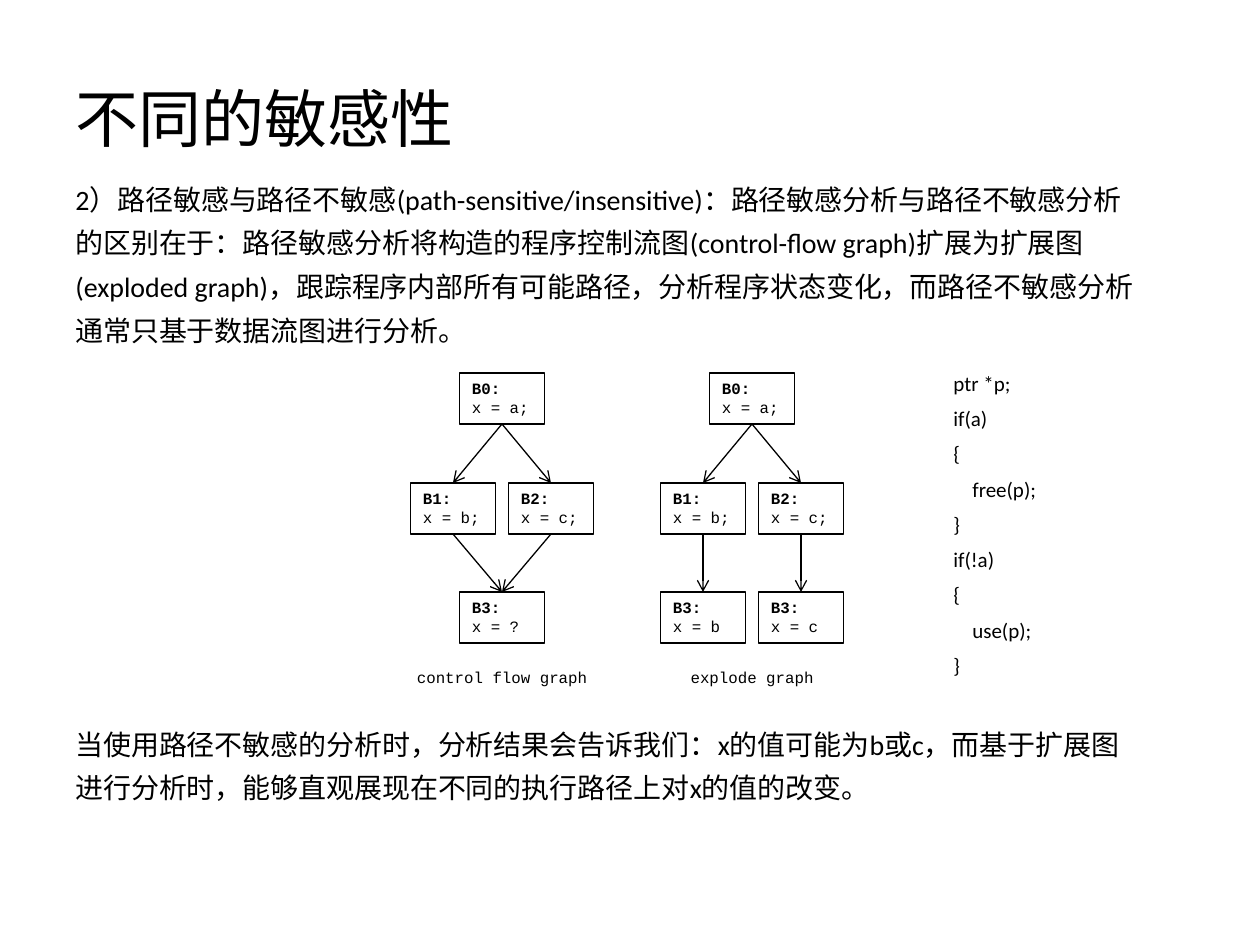
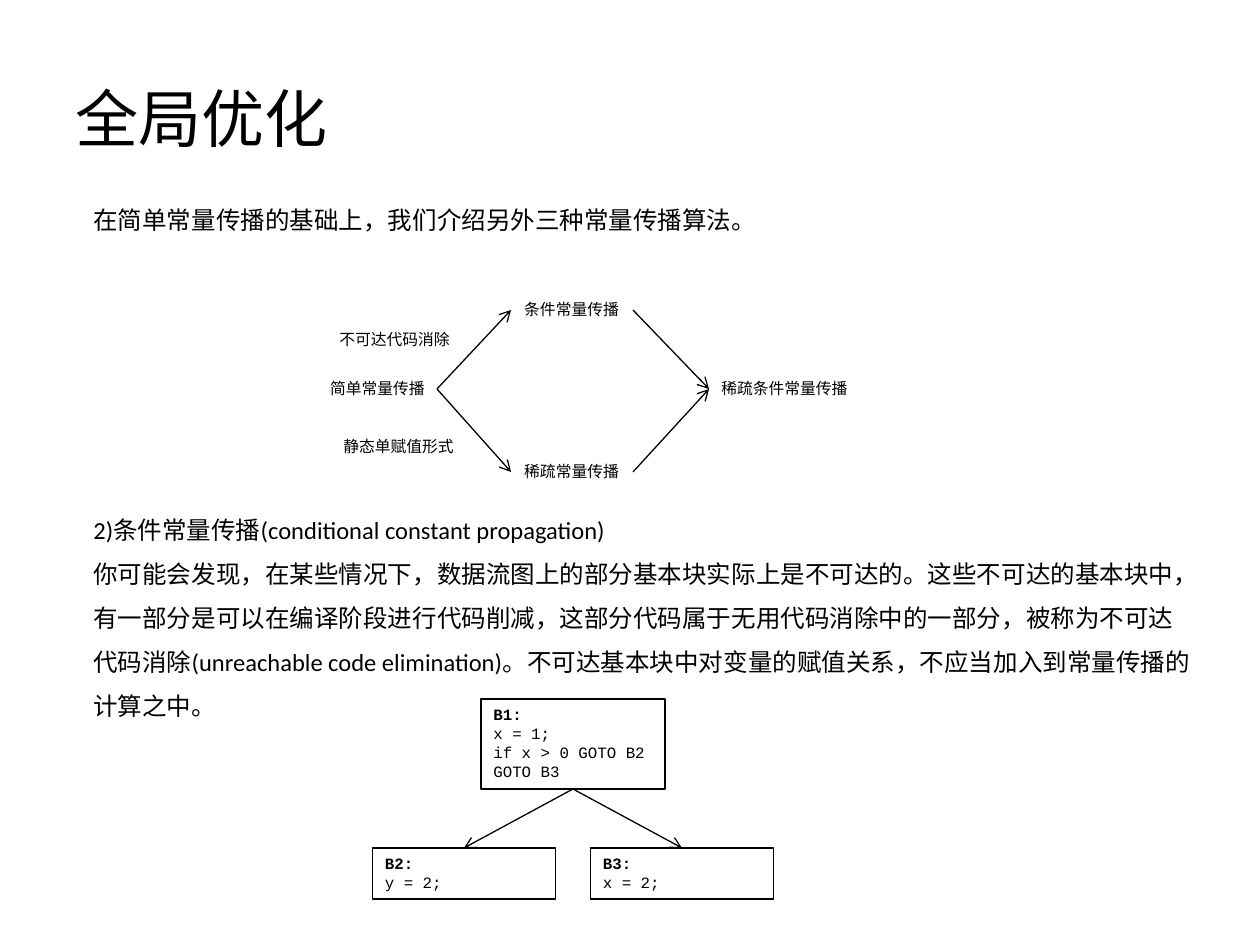
from dataclasses import dataclass

from lxml.etree import SubElement
from pptx import Presentation
from pptx.dml.color import RGBColor
from pptx.enum.shapes import MSO_CONNECTOR, MSO_SHAPE
from pptx.enum.text import MSO_ANCHOR, PP_ALIGN
from pptx.oxml.ns import qn
from pptx.slide import Slide
from pptx.util import Emu, Pt

COLOURS = {"ink": "000000"}
BODY_FONT, CODE_FONT = "Calibri", "Courier New"
EMU_PER_PIXEL = 914400 / 126
TITLE_ONLY = 5
BLOCK_HEIGHT = 51
LABEL_HEIGHT = 32

Point = tuple[int, int]
Area = tuple[int, int, int, int]


@dataclass(frozen=True)
class Block:
    """A basic block, placed by its top centre."""
    name: str
    code: tuple[str, ...]
    centre: int
    top: int
    width: int = 85
    height: int = BLOCK_HEIGHT

    @property
    def entry(self) -> Point:
        """Point where arrows arrive."""
        return self.centre, self.top

    @property
    def leave(self) -> Point:
        """Point where arrows start."""
        return self.centre, self.top + self.height


@dataclass(frozen=True)
class Label:
    """A small one-line caption."""
    text: str
    left: int
    top: int
    width: int
    align: PP_ALIGN = PP_ALIGN.CENTER


@dataclass(frozen=True)
class Line:
    """A paragraph of running text; indent in pixels, space before in points."""
    text: str
    indent: int = 0
    before: int = 0


def px(pixels: float) -> Emu:
    """Turn pixels into EMU."""
    return Emu(round(pixels * EMU_PER_PIXEL))


def ink() -> RGBColor:
    """Colour of all text and lines."""
    return RGBColor.from_string(COLOURS["ink"])


def style(paragraph, font: str, size: int, bold: bool = False) -> None:
    """Set the font of a whole paragraph."""
    paragraph.font.name = font
    paragraph.font.size = Pt(size)
    paragraph.font.bold = bold
    paragraph.font.color.rgb = ink()


def add_titled_slide(deck, title: str) -> Slide:
    """Add a slide with the shared title style."""
    slide = deck.slides.add_slide(deck.slide_layouts[TITLE_ONLY])
    heading = slide.shapes.title
    heading.left, heading.top, heading.width, heading.height = map(px, (63, 38, 1134, 158))
    heading.text_frame.text = title
    heading.text_frame.vertical_anchor = MSO_ANCHOR.MIDDLE
    paragraph = heading.text_frame.paragraphs[0]
    paragraph.alignment = PP_ALIGN.LEFT
    style(paragraph, BODY_FONT, 36)
    return slide


def add_text(slide: Slide, area: Area, lines: list[Line], size: int, spacing: float) -> None:
    """Add a wrapped box of running text."""
    frame = slide.shapes.add_textbox(*map(px, area)).text_frame
    frame.word_wrap = True
    frame.text = "\n".join(line.text for line in lines)
    for paragraph, line in zip(frame.paragraphs, lines):
        paragraph.line_spacing = spacing
        paragraph.space_before = Pt(line.before)
        if line.indent:
            paragraph._p.get_or_add_pPr().set("marL", str(px(line.indent)))
        style(paragraph, BODY_FONT, size)


def add_label(slide: Slide, label: Label) -> None:
    """Add a caption."""
    area = map(px, (label.left, label.top, label.width, LABEL_HEIGHT))
    frame = slide.shapes.add_textbox(*area).text_frame
    frame.word_wrap = True
    frame.text = label.text
    frame.paragraphs[0].alignment = label.align
    style(frame.paragraphs[0], CODE_FONT, 9)


def add_block(slide: Slide, block: Block) -> None:
    """Add an outlined block with a bold name above its code."""
    area = map(px, (block.centre - block.width / 2, block.top, block.width, block.height))
    shape = slide.shapes.add_shape(MSO_SHAPE.RECTANGLE, *area)
    shape.shadow.inherit = False
    shape.fill.background()
    shape.line.color.rgb = ink()
    shape.line.width = Pt(1)
    frame = shape.text_frame
    frame.word_wrap = True
    frame.vertical_anchor = MSO_ANCHOR.TOP
    frame.text = "\n".join((f"{block.name}:", *block.code))
    for row, paragraph in enumerate(frame.paragraphs):
        paragraph.alignment = PP_ALIGN.LEFT
        style(paragraph, CODE_FONT, 9, bold=row == 0)


def add_arrow(slide: Slide, start: Point, end: Point) -> None:
    """Add a thin line with an open arrowhead at its end."""
    arrow = slide.shapes.add_connector(MSO_CONNECTOR.STRAIGHT, *map(px, start + end))
    arrow.line.color.rgb = ink()
    arrow.line.width = Pt(0.75)
    SubElement(arrow.line._get_or_add_ln(), qn("a:tailEnd"), type="arrow")
    SubElement(arrow._element.spPr, qn("a:effectLst"))


def add_graph(slide: Slide, blocks: list[Block], edges: list[tuple[int, int]]) -> None:
    """Add blocks and the arrows between them, given as index pairs."""
    for block in blocks:
        add_block(slide, block)
    for source, target in edges:
        add_arrow(slide, blocks[source].leave, blocks[target].entry)


def build_sensitivity_slide(deck) -> None:
    """Path sensitivity: control flow graph against exploded graph."""
    slide = add_titled_slide(deck, "不同的敏感性")
    add_text(slide, (63, 166, 1091, 774), [Line(
        "2）路径敏感与路径不敏感(path-sensitive/insensitive)：路径敏感分析与路径不敏感分析的区别在于："
        "路径敏感分析将构造的程序控制流图(control-flow graph)扩展为扩展图(exploded graph)，"
        "跟踪程序内部所有可能路径，分析程序状态变化，而路径不敏感分析通常只基于数据流图进行分析。")], 16, 1.3)

    top, middle, bottom = 373, 483, 592
    branch = 49

    def shared_blocks(centre: int) -> list[Block]:
        """Blocks that both graphs begin with."""
        return [Block("B0", ("x = a;",), centre, top),
                Block("B1", ("x = b;",), centre - branch, middle),
                Block("B2", ("x = c;",), centre + branch, middle)]

    flow, exploded = 502, 752
    add_graph(slide, shared_blocks(flow) + [Block("B3", ("x = ?",), flow, bottom)],
              [(0, 1), (0, 2), (1, 3), (2, 3)])
    add_graph(slide, shared_blocks(exploded) + [
        Block("B3", ("x = b",), exploded - branch, bottom),
        Block("B3", ("x = c",), exploded + branch, bottom)],
        [(0, 1), (0, 2), (1, 3), (2, 4)])
    for centre, caption in ((flow, "control flow graph"), (exploded, "explode graph")):
        add_label(slide, Label(caption, centre - 106, 662, 212))

    add_text(slide, (63, 711, 1091, 222), [Line(
        "当使用路径不敏感的分析时，分析结果会告诉我们：x的值可能为b或c，而基于扩展图进行分析时，"
        "能够直观展现在不同的执行路径上对x的值的改变。")], 16, 1.3)
    outer, inner = 63, 82
    program = [Line(code, inner if code.endswith(";") and "(" in code else outer)
               for code in ("ptr *p;", "if(a)", "{", "free(p);", "}",
                            "if(!a)", "{", "use(p);", "}")]
    add_text(slide, (878, 354, 294, 333), program, 12, 1.4)


def build_optimisation_slide(deck) -> None:
    """Constant propagation algorithms and an unreachable block."""
    slide = add_titled_slide(deck, "全局优化")
    add_text(slide, (81, 184, 1130, 723), [
        Line("在简单常量传播的基础上，我们介绍另外三种常量传播算法。"),
        Line("2)条件常量传播(conditional constant propagation)", before=152),
        Line("你可能会发现，在某些情况下，数据流图上的部分基本块实际上是不可达的。"
             "这些不可达的基本块中，有一部分是可以在编译阶段进行代码削减，"
             "这部分代码属于无用代码消除中的一部分，被称为不可达代码消除"
             "(unreachable code elimination)。不可达基本块中对变量的赋值关系，"
             "不应当加入到常量传播的计算之中。")], 14, 1.5)

    for label in (Label("简单常量传播", 273, 373, 164, PP_ALIGN.RIGHT),
                  Label("条件常量传播", 511, 294, 121),
                  Label("稀疏常量传播", 511, 456, 121),
                  Label("稀疏条件常量传播", 709, 373, 164, PP_ALIGN.LEFT),
                  Label("不可达代码消除", 249, 324, 213, PP_ALIGN.RIGHT),
                  Label("静态单赋值形式", 253, 431, 213, PP_ALIGN.RIGHT)):
        add_label(slide, label)
    simple, combined = (437, 389), (709, 389)
    for height in (310, 472):
        add_arrow(slide, simple, (511, height))
        add_arrow(slide, (633, height), combined)

    centre, branch = 573, 109
    add_graph(slide, [
        Block("B1", ("x = 1;", "if x > 0 GOTO B2", "GOTO B3"), centre, 699, 184, 90),
        Block("B2", ("y = 2;",), centre - branch, 848, 183),
        Block("B3", ("x = 2;",), centre + branch, 848, 183)],
        [(0, 1), (0, 2)])


def main() -> None:
    """Build and save the deck."""
    deck = Presentation()
    deck.slide_width, deck.slide_height = px(1260), px(945)
    build_sensitivity_slide(deck)
    build_optimisation_slide(deck)
    deck.save("out.pptx")


main()
